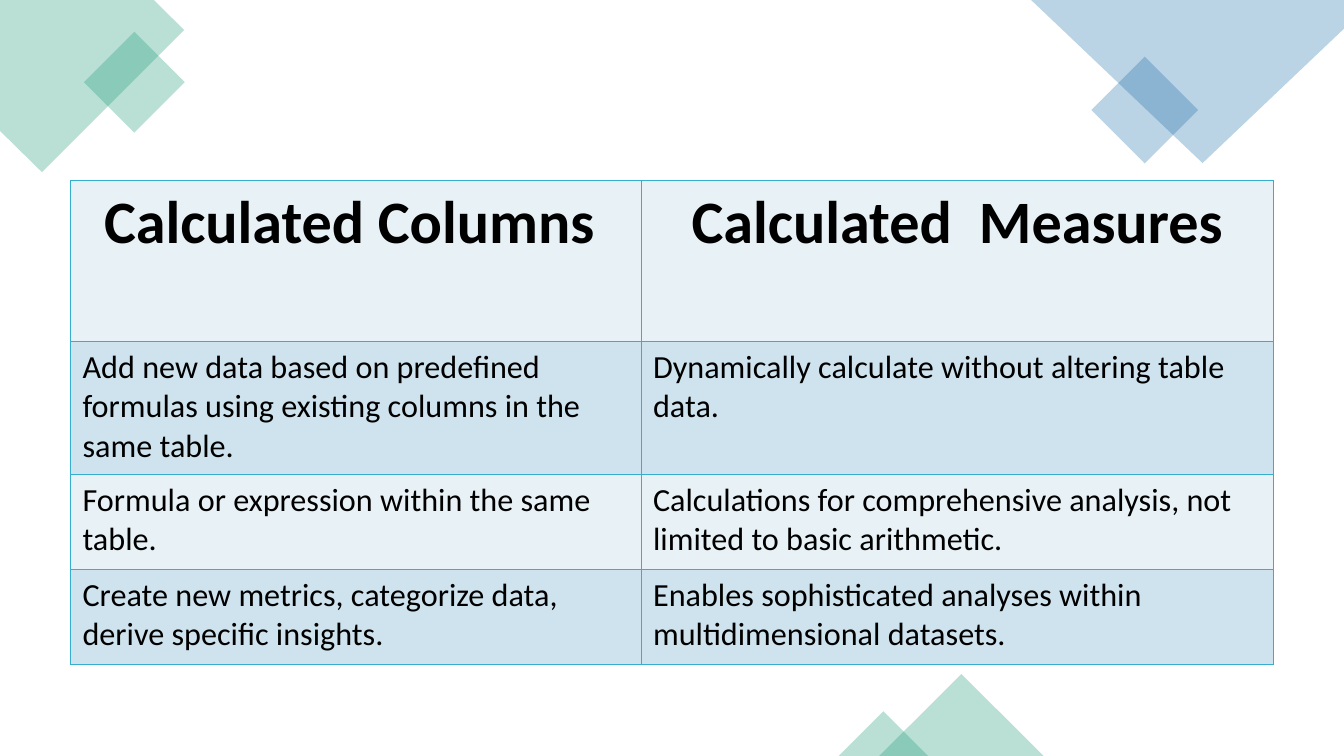
from dataclasses import dataclass

from lxml import etree
from pptx import Presentation
from pptx.dml.color import RGBColor
from pptx.enum.shapes import MSO_SHAPE
from pptx.enum.text import PP_ALIGN
from pptx.oxml.ns import qn
from pptx.util import Pt

RECTANGLE = MSO_SHAPE.RECTANGLE
TRIANGLE = MSO_SHAPE.ISOSCELES_TRIANGLE
CENTER, LEFT = PP_ALIGN.CENTER, PP_ALIGN.LEFT


@dataclass(frozen=True)
class Theme:
    font: str = "Calibri"
    heading_size: int = 43
    body_size: int = 23
    text: str = "000000"
    green: str = "1D9A78"
    blue: str = "1D6FA9"
    border: str = "36AFCE"
    bands: tuple = ("E8F2F6", "CEE3ED")
    opacity: int = 30


theme = Theme()


def tint(shape, color):
    """Give a corner ornament a translucent fill without line or shadow."""
    shape.shadow.inherit = False
    shape.line.fill.background()
    shape.fill.solid()
    shape.fill.fore_color.rgb = RGBColor.from_string(color)
    srgb = shape.element.spPr.find(qn("a:solidFill")).find(qn("a:srgbClr"))
    etree.SubElement(srgb, qn("a:alpha"), val=str(theme.opacity * 1000))


def add_cell_borders(cell):
    properties = cell._tc.get_or_add_tcPr()
    for side in ("lnL", "lnR", "lnT", "lnB"):
        line = etree.SubElement(properties, qn(f"a:{side}"), w=str(Pt(1)))
        fill = etree.SubElement(line, qn("a:solidFill"))
        etree.SubElement(fill, qn("a:srgbClr"), val=theme.border)


deck = Presentation()
deck.slide_width, deck.slide_height = Pt(960), Pt(540)
page = deck.slides.add_slide(deck.slide_layouts[6])

# Corner ornaments
corners = [
    ([(0, 0), (110, 0), (131.5, 21.5), (30, 123), (0, 93.5)], theme.green),
    ([(736.5, 0), (960, 0), (960, 20.5), (859, 116.5)], theme.blue),
]
for points, color in corners:
    (start_x, start_y), *others = points
    outline = page.shapes.build_freeform(Pt(start_x), Pt(start_y))
    outline.add_line_segments([(Pt(x), Pt(y)) for x, y in others], close=True)
    tint(outline.convert_to_shape(), color)

ornaments = [
    (RECTANGLE, 70.5, 33.2, 51, 51, 315, theme.green),
    (RECTANGLE, 790.7, 51.6, 54, 54, 315, theme.blue),
    (TRIANGLE, 628, 481.5, 117.5, 58.5, 0, theme.green),
    (TRIANGLE, 599, 508, 64, 32, 0, theme.green),
]
for kind, left, top, width, height, angle, color in ornaments:
    ornament = page.shapes.add_shape(kind, Pt(left), Pt(top), Pt(width), Pt(height))
    ornament.rotation = angle
    tint(ornament, color)

# Comparison table
rows = [
    ("Calculated Columns ", "Calculated  Measures"),
    ("Add new data based on predefined formulas using existing columns in the same table.",
     "Dynamically calculate without altering table data."),
    ("Formula or expression within the same table.",
     "Calculations for comprehensive analysis, not limited to basic arithmetic."),
    ("Create new metrics, categorize data, derive specific insights.",
     "Enables sophisticated analyses within multidimensional datasets."),
]
column_widths = (407.5, 451.5)
row_heights = (115, 95.2, 67.7, 67.7)
table = page.shapes.add_table(
    len(rows), len(column_widths), Pt(50.5), Pt(129),
    Pt(sum(column_widths)), Pt(sum(row_heights))).table
table.horz_banding = False
for column, width in zip(table.columns, column_widths):
    column.width = Pt(width)

for row_index, (texts, height) in enumerate(zip(rows, row_heights)):
    table.rows[row_index].height = Pt(height)
    heading = row_index == 0
    for column_index, text in enumerate(texts):
        cell = table.cell(row_index, column_index)
        add_cell_borders(cell)
        cell.fill.solid()
        cell.fill.fore_color.rgb = RGBColor.from_string(theme.bands[row_index % 2])
        cell.margin_left = cell.margin_right = Pt(8.5)
        cell.margin_top = cell.margin_bottom = Pt(4.25)
        para = cell.text_frame.paragraphs[0]
        para.alignment = CENTER if heading else LEFT
        span = para.add_run()
        span.text = text
        span.font.name = theme.font
        span.font.size = Pt(theme.heading_size if heading else theme.body_size)
        span.font.bold = heading
        span.font.color.rgb = RGBColor.from_string(theme.text)

deck.save("out.pptx")
